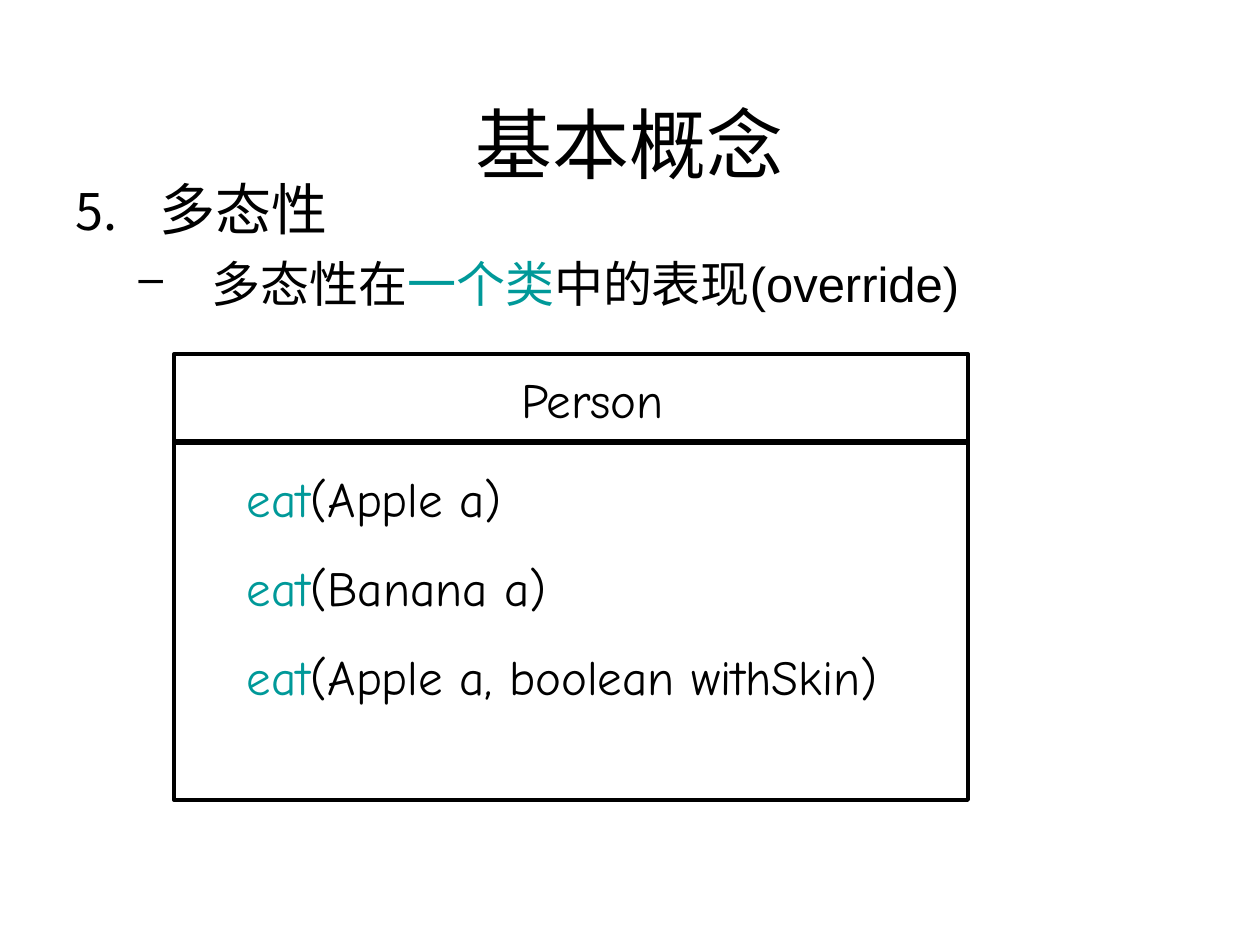
from lxml.etree import SubElement
from pptx import Presentation
from pptx.dml.color import RGBColor
from pptx.enum.shapes import MSO_CONNECTOR as CONN, MSO_SHAPE as SHAPE
from pptx.enum.text import MSO_ANCHOR as ANCHOR, MSO_AUTO_SIZE as AUTO, PP_ALIGN as ALIGN
from pptx.oxml.ns import qn
from pptx.util import Pt

PX = 914400 / 126
BLACK, TEAL = "000000", "009999"


def px(*lengths):
    """Turn px lengths into EMU."""
    return [round(n * PX) for n in lengths]


def add_runs(p, runs, size, font):
    for text, color in runs:
        r = p.add_run()
        r.text = text
        r.font.size = Pt(size)
        r.font.name = font
        r.font.color.rgb = RGBColor.from_string(color)


prs = Presentation()
prs.slide_width, prs.slide_height = px(1260, 945)
s = prs.slides.add_slide(prs.slide_layouts[1])

# Title
title = s.shapes.title
title.left, title.top, title.width, title.height = px(63, 38, 1134, 157)
tf = title.text_frame
tf.auto_size = AUTO.NONE
tf.vertical_anchor = ANCHOR.BOTTOM
p = tf.paragraphs[0]
p.alignment = ALIGN.CENTER
add_runs(p, [("基本概念", BLACK)], 44, "Arial")

# Numbered point with a dashed sub-point
body = s.placeholders[1]
body.left, body.top, body.width, body.height = px(63, 168, 1171, 168)
tf = body.text_frame
tf.auto_size = AUTO.NONE
points = [
    (32, 0, 84, -84, "a:buAutoNum", {"type": "arabicPeriod", "startAt": "5"},
     [("多态性", BLACK)]),
    (28, 7, 136, -73, "a:buChar", {"char": "–"},
     [("多态性在", BLACK), ("一个类", TEAL), ("中的表现(override)", BLACK)]),
]
for level, (size, before, margin, indent, bullet, attrs, runs) in enumerate(points):
    p = tf.add_paragraph() if level else tf.paragraphs[0]
    p.level = level
    pPr = p._p.get_or_add_pPr()
    for name, n in zip(("marL", "indent"), px(margin, indent)):
        pPr.set(name, str(n))
    SubElement(SubElement(pPr, qn("a:buClr")), qn("a:srgbClr"), val=BLACK)
    SubElement(pPr, qn("a:buSzPct"), val="90000")
    SubElement(pPr, qn("a:buFontTx"))
    SubElement(pPr, qn(bullet), attrs)
    p.space_before = Pt(before)
    add_runs(p, runs, size, "Arial")

# Class box: frame and divider
frame = s.shapes.add_shape(SHAPE.RECTANGLE, *px(174, 354, 794, 446))
frame.shadow.inherit = False
frame.fill.background()
divider = s.shapes.add_connector(CONN.STRAIGHT, *px(174, 442, 968, 442))
for sp, width in ((frame, 2.25), (divider, 3)):
    sp.line.color.rgb = RGBColor.from_string(BLACK)
    sp.line.width = Pt(width)
SubElement(divider._element.spPr, qn("a:effectLst"))

# Class name and its methods
labels = [(402, 363, 318, ALIGN.CENTER, [("Person", BLACK)])]
methods = [("(Apple a)", 328), ("(Banana a)", 536), ("(Apple a, boolean withSkin)", 753)]
for i, (signature, width) in enumerate(methods):
    labels.append((184, 462 + 89 * i, width, ALIGN.LEFT, [("eat", TEAL), (signature, BLACK)]))

for left, top, width, align, runs in labels:
    tf = s.shapes.add_textbox(*px(left, top, width, 72)).text_frame
    tf.word_wrap = True
    tf.margin_left = tf.margin_right = 0
    p = tf.paragraphs[0]
    p.alignment = align
    pPr = p._p.get_or_add_pPr()
    for name, n in zip(("marL", "indent"), px(136, -73)):
        pPr.set(name, str(n))
    add_runs(p, runs, 28, "Comic Neue")

prs.save("out.pptx")
